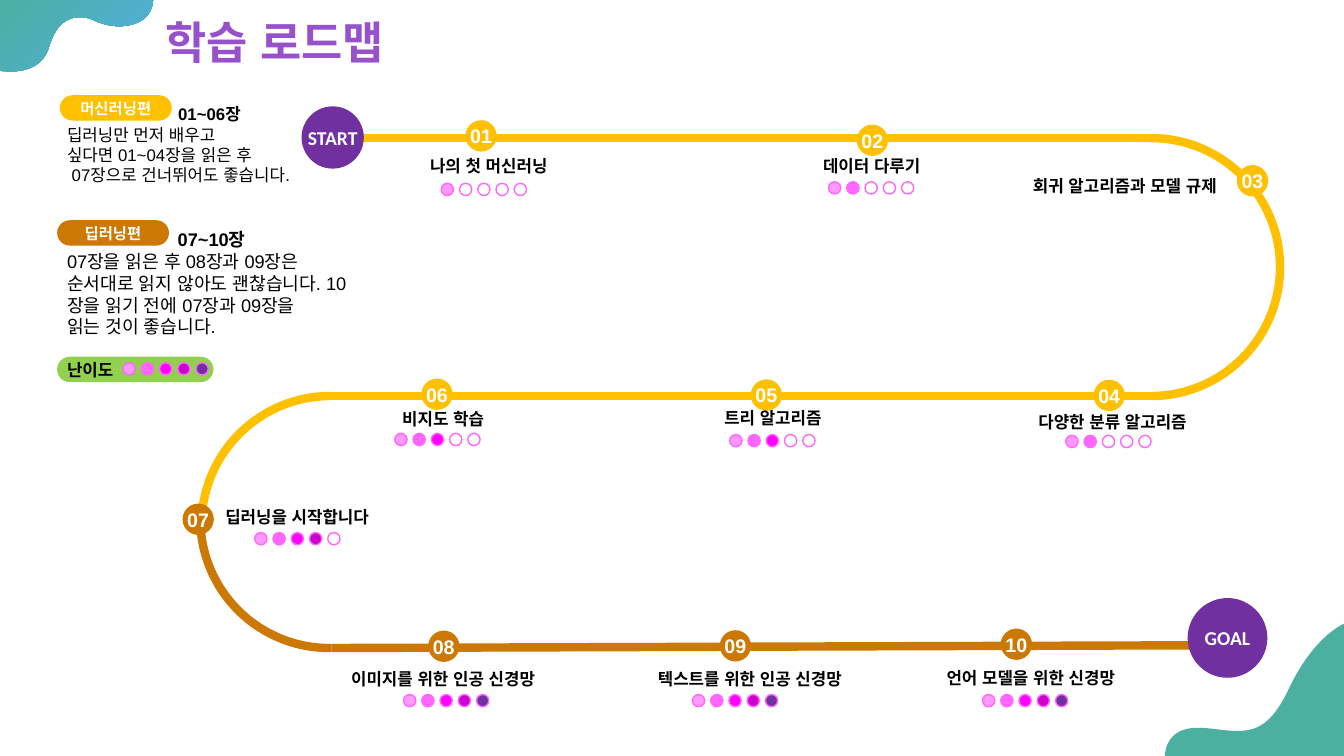
from pptx import Presentation
from pptx import util as u
from pptx.dml.color import RGBColor
from pptx.enum import lang, shapes, text
from pptx.oxml.ns import qn
from lxml import etree

HUE = {"gold": "FFC000", "brown": "CC7804", "violet": "7030A0", "title": "9751CB",
       "green": "92D050", "teal": "4BB0A0", "sky": "52AEE1", "rim": "FF66FF",
       "white": "FFFFFF", "black": "000000",
       "lev1": "FF99FF", "lev2": "FF66FF", "lev3": "FF00FF", "lev4": "CC00CC", "lev5": "7030A0"}

TITLE = "학습 로드맵"
STOPS = [
    ("01", "gold", (11.73, 3.03), "나의 첫 머신러닝", (9.07, 3.81), (11.12, 4.62), 1),
    ("02", "gold", (21.59, 3.14), "데이터 다루기", (18.72, 3.81), (20.88, 4.58), 2),
    ("03", "gold", (31.17, 4.16), "회귀 알고리즘과 모델 규제", (25.1, 4.31), None, 0),
    ("04", "gold", (27.56, 9.57), "다양한 분류 알고리즘", (24.79, 10.24), (26.86, 10.97), 2),
    ("05", "gold", (18.92, 9.56), "트리 알고리즘", (16.23, 10.15), (18.39, 10.95), 3),
    ("06", "gold", (10.62, 9.54), "비지도 학습", (7.92, 10.17), (9.95, 10.92), 3),
    ("07", "brown", (4.6, 12.69), "딥러닝을 시작합니다", (4.24, 12.65), (6.42, 13.42), 4),
    ("08", "brown", (10.79, 15.89), "이미지를 위한 인공 신경망", (7.92, 16.72), (10.17, 17.5), 5),
    ("09", "brown", (18.14, 15.88), "텍스트를 위한 인공 신경망", (15.65, 16.72), (17.45, 17.5), 5),
    ("10", "brown", (25.22, 15.84), "언어 모델을 위한 신경망", (22.73, 16.71), (24.76, 17.5), 5),
]
ENDS = [("START", 7.6, 2.68, 1.57), ("GOAL", 29.93, 15.07, 2.01)]
TAGS = [("머신러닝편", "gold", 1.51, 2.4), ("딥러닝편", "brown", 1.44, 5.55)]
GUIDE = [
    ("01~06장", dict(size=12, bold=True, indent=2.8)),
    ("딥러닝만 먼저 배우고\n싶다면 01~04장을 읽은 후\n 07장으로 건너뛰어도 좋습니다.", dict(size=12)),
    ("07~10장", dict(size=13, bold=True, indent=2.79, before=31)),
    ("07장을 읽은 후 08장과 09장은", dict(size=13)),
    ("순서대로 읽지 않아도 괜찮습니다. 10장을 읽기 전에 07장과 09장을", dict(size=13)),
    ("읽는 것이 좋습니다.", dict(size=13)),
    ("난이도", dict(size=12, bold=True, before=15.5)),
]
LINES = [("gold", 8.33, 3.48, 29.01, 3.48), ("gold", 8.33, 9.98, 29.01, 9.98),
         ("brown", 8.36, 16.33, 30.18, 16.26)]
ARCS = [("gold", 25.76, 3.48, 162, 54.03), ("gold", 5.08, 9.98, 108.84, 162.24),
        ("brown", 5.05, 9.83, 53.37, 107.37)]
WAVES = [
    [[(3.86, -0.05)], [(-0.03, -0.05)], [(-0.03, 1.78)],
     [(-0.03, 1.78), (0.1, 1.8), (0.28, 1.8)], [(0.61, 1.8), (1.09, 1.7), (1.24, 1.17)],
     [(1.42, 0.58), (1.73, 0.43), (2.01, 0.43)], [(2.13, 0.43), (2.26, 0.46), (2.36, 0.51)],
     [(2.57, 0.61), (2.79, 0.66), (3, 0.66)], [(3.48, 0.66), (3.86, 0.43), (3.86, -0.05)]],
    [[(33.91, 15.7)], [(33.91, 15.7), (33.12, 15.98), (32.46, 17.4)],
     [(32.05, 18.24), (31.69, 18.42), (31.17, 18.42)],
     [(30.86, 18.42), (30.53, 18.34), (30.18, 18.34)],
     [(29.31, 18.34), (29.36, 19.08), (29.36, 19.08)], [(33.91, 19.08)]],
]
DOT, GAP = 0.31, 0.46
MARK, SPAN, PILL = 0.79, 6.5, 0.64
KIND = shapes.MSO_SHAPE


def rgb(name):
    return RGBColor.from_string(HUE[name])


def write(shape, words, size=12, font="Arial", color="black", bold=False, align="LEFT",
          anchor="TOP", wrap=True, indent=0, before=0, east=None):
    frame = shape.text_frame
    frame.word_wrap = wrap
    frame.vertical_anchor = text.MSO_ANCHOR[anchor]
    para = frame.add_paragraph() if frame.text else frame.paragraphs[0]
    para.alignment = text.PP_ALIGN[align]
    para.space_before = u.Pt(before)
    if indent:
        para._p.get_or_add_pPr().set("marL", str(u.Cm(indent)))
    for i, row in enumerate(words.split("\n")):
        if i:
            para.add_line_break()
        run = para.add_run()
        run.text = row
        run.font.size, run.font.name, run.font.bold = u.Pt(size), font, bold
        run.font.color.rgb = rgb(color)
        run.font.language_id = lang.MSO_LANGUAGE_ID.KOREAN
        if east:
            etree.SubElement(run.font._element, qn("a:ea")).set("typeface", east)
    return para


def draw(host, kind, x, y, w, h, fill=None, line=None, width=1):
    shape = host.add_shape(kind, u.Cm(x), u.Cm(y), u.Cm(w), u.Cm(h))
    shape.shadow.inherit = False
    if fill:
        shape.fill.solid()
        shape.fill.fore_color.rgb = rgb(fill)
    else:
        shape.fill.background()
    if line:
        shape.line.color.rgb = rgb(line)
        shape.line.width = u.Pt(width)
    else:
        shape.line.fill.background()
    return shape


def pill(x, y, w, fill):
    shape = draw(art, KIND.ROUNDED_RECTANGLE, x, y, w, PILL, fill)
    shape.adjustments[0] = 0.5
    return shape


def area(x, y, w, h):
    box = art.add_textbox(u.Cm(x), u.Cm(y), u.Cm(w), u.Cm(h))
    box.text_frame.auto_size = text.MSO_AUTO_SIZE.SHAPE_TO_FIT_TEXT
    return box


def rate(x, y, level):
    group = art.add_group_shape()
    for i in range(5):
        fill = f"lev{i + 1}" if i < level else "white"
        draw(group.shapes, KIND.OVAL, x + i * GAP, y, DOT, DOT, fill, "rim")


def wave(parts):
    spots = [(round(x * 100), round(y * 100)) for part in parts for x, y in part]
    pen = art.build_freeform(*spots[0], scale=u.Cm(0.01))
    pen.add_line_segments(spots[1:], close=True)
    shape = pen.convert_to_shape()
    legs = iter(list(shape._element.iter(qn("a:lnTo"))))
    for part in parts[1:]:
        group = [next(legs) for spot in part]
        if len(group) == 3:
            curve = etree.Element(qn("a:cubicBezTo"))
            group[0].addprevious(curve)
            for leg in group:
                curve.append(leg[0])
                leg.getparent().remove(leg)
    shape.shadow.inherit = False
    shape.line.fill.background()
    return shape.fill


deck = Presentation()
deck.slide_width, deck.slide_height = u.Cm(33.87), u.Cm(19.05)
slide = deck.slides.add_slide(deck.slide_layouts[5])
art = slide.shapes

top, base = [wave(parts) for parts in WAVES]
top.gradient()
top.gradient_angle = 315
for stop, name in zip(top.gradient_stops, ("teal", "sky")):
    stop.color.rgb = rgb(name)
    stop.position = 0 if name == "teal" else 1
base.solid()
base.fore_color.rgb = rgb("teal")

pill(1.44, 8.99, 3.94, "green")
for color, x1, y1, x2, y2 in LINES:
    road = art.add_connector(shapes.MSO_CONNECTOR.STRAIGHT, u.Cm(x1), u.Cm(y1), u.Cm(x2), u.Cm(y2))
    road.line.color.rgb = rgb(color)
    road.line.width = u.Pt(6)
    etree.SubElement(road._element.spPr, qn("a:effectLst"))
for color, x, y, start, end in ARCS:
    bend = draw(art, KIND.ARC, x, y, SPAN, SPAN, line=color, width=6)
    bend.adjustments[0], bend.adjustments[1] = start, end

guide = area(1.44, 2.5, 7.9, 7.32)
for words, form in GUIDE:
    write(guide, words, **form)

head = art.title
head.left, head.top, head.width, head.height = u.Cm(4.17), u.Cm(0.46), u.Cm(8.69), u.Cm(1.37)
frame = head.text_frame
frame.auto_size = text.MSO_AUTO_SIZE.NONE
frame.margin_left = frame.margin_right = frame.margin_top = frame.margin_bottom = 0
sans = "Noto Sans CJK KR"
line = write(head, TITLE, size=32, font=sans, east=sans, color="title", bold=True,
             anchor="MIDDLE", wrap=False)
line.line_spacing = 0.9

badge = dict(color="white", bold=True, align="CENTER", anchor="MIDDLE")
for words, x, y, size in ENDS:
    disc = draw(art, KIND.OVAL, x, y, size, size, "violet")
    write(disc, words, size=14, font="Calibri", wrap=False, **badge)
for words, color, x, y in TAGS:
    write(pill(x, y, 2.82, color), words, size=11, font="Calibri", **badge)
for num, color, spot, name, place, dots, level in STOPS:
    write(draw(art, KIND.OVAL, *spot, MARK, MARK, color), num, size=14, wrap=False, **badge)
    write(area(*place, SPAN, 0.76), name, font="Calibri", bold=True, align="CENTER")
    if dots:
        rate(*dots, level)
rate(3.1, 9.14, 5)

deck.save("out.pptx")
